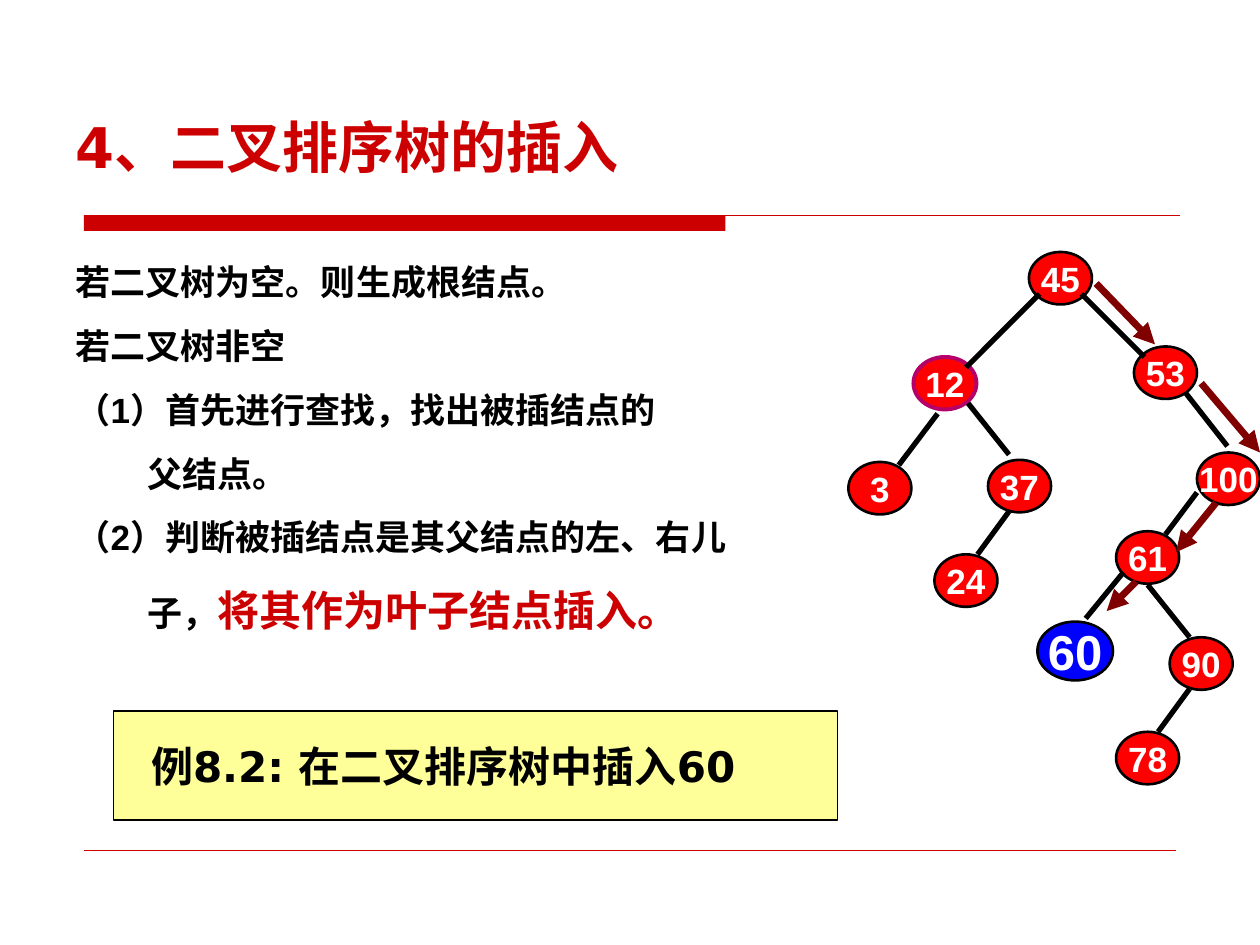
from typing import NamedTuple

from lxml.etree import SubElement as Sub
from pptx import Presentation
from pptx.dml.color import RGBColor
from pptx.enum.shapes import MSO_CONNECTOR as Link, MSO_SHAPE as Kind
from pptx.enum.text import MSO_ANCHOR as Anchor, MSO_AUTO_SIZE as Fit, PP_ALIGN as Align
from pptx.oxml.ns import qn
from pptx.util import Inches, Pt

WIDE, HIGH = Inches(10), Inches(7.5)
COLS, ROWS = 120, 90

BLACK = RGBColor(0x00, 0x00, 0x00)
WHITE = RGBColor(0xFF, 0xFF, 0xFF)
CRIMSON = RGBColor(0xCC, 0x00, 0x00)
RED = RGBColor(0xFF, 0x00, 0x00)
BLUE = RGBColor(0x00, 0x00, 0xFF)
PLUM = RGBColor(0xB5, 0x00, 0x69)
MAROON = RGBColor(0x80, 0x00, 0x00)
YELLOW = RGBColor(0xFF, 0xFF, 0x99)


class Node(NamedTuple):
    key: str
    col: float
    row: float
    width: float = 6
    height: float = 5
    fill: RGBColor = RED
    edge: RGBColor = BLACK
    weight: float = 1.5
    size: float = 20


class Line(NamedTuple):
    col: float
    row: float
    to_col: float
    to_row: float


class Item(NamedTuple):
    runs: tuple
    indent: float = 0.5
    before: float = 12.5


NODES = (
    Node("45", 98, 24),
    Node("53", 108, 33),
    Node("100", 114, 43.1),
    Node("61", 106.3, 50.6),
    Node("12", 87, 34, edge=PLUM, weight=2.25),
    Node("3", 80.8, 44),
    Node("90", 111.4, 60.7),
    Node("78", 106.3, 69.7),
    Node("37", 94.1, 43.8),
    Node("24", 89, 52.8),
    Node("60", 98.8, 59.2, 7.2, 5.6, fill=BLUE, size=28),
)

STEPS = (
    Line(104.4, 27, 110, 32.8),
    Line(114.4, 36.5, 120, 43.1),
    Line(115.8, 47.9, 112, 52.6),
    Line(108.2, 55.4, 105.4, 58.2),
)

EDGES = (
    Line(103, 28, 109, 34),
    Line(112.9, 37.4, 116.9, 42.5),
    Line(114, 46.9, 111, 50.9),
    Line(89.3, 39.4, 85.6, 44.3),
    Line(109.3, 55.7, 113.3, 60.7),
    Line(113.3, 65.6, 110.3, 69.7),
    Line(99, 28, 92, 35),
    Line(92.2, 38.4, 96.1, 43.3),
    Line(96.1, 48.7, 93.1, 52.8),
    Line(107, 54.5, 103.4, 58.9),
)

ITEMS = (
    Item((("若二叉树为空。则生成根结点。", {}),), before=0),
    Item((("若二叉树非空", {}),)),
    Item((("（1）首先进行查找，找出被插结点的", {}),)),
    Item((("父结点。", {}),), indent=1.07),
    Item((("（2）判断被插结点是其父结点的左、右儿", {}),)),
    Item((("子，", {}), ("将其作为叶子结点插入。", {"size": 24, "color": CRIMSON})),
         indent=1.07, before=15),
)


def across(col: float) -> int:
    return round(WIDE * col / COLS)


def down(row: float) -> int:
    return round(HIGH * row / ROWS)


def write(para, text: str, *, size: float = 20, color: RGBColor = BLACK,
          face: str = "Arial") -> None:
    run = para.add_run()
    run.text = text
    font = run.font
    font.name, font.size, font.bold = face, Pt(size), True
    font.color.rgb = color


def inset(para, left: float) -> None:
    props = para._p.get_or_add_pPr()
    props.set("marL", str(Inches(left)))
    props.set("indent", "0")
    Sub(props, qn("a:buNone"))
    para.alignment = Align.LEFT


def place(holder, row: float, width: float, height: float):
    holder.left, holder.top = 0, down(row)
    holder.width, holder.height = across(width), down(height)
    frame = holder.text_frame
    frame.auto_size, frame.vertical_anchor = Fit.NONE, Anchor.TOP
    return frame


def shape(shapes, kind: Kind, col: float, row: float, width: float, height: float,
          fill: RGBColor, edge: RGBColor, weight: float):
    form = shapes.add_shape(kind, across(col), down(row), across(width), down(height))
    form.shadow.inherit = False
    form.fill.solid()
    form.fill.fore_color.rgb = fill
    form.line.color.rgb = edge
    form.line.width = Pt(weight)
    form.text_frame.vertical_anchor = Anchor.MIDDLE
    return form


def draw_node(shapes, node: Node) -> None:
    oval = shape(shapes, Kind.OVAL, node.col, node.row, node.width, node.height,
                 node.fill, node.edge, node.weight)
    frame = oval.text_frame
    frame.word_wrap = False
    para = frame.paragraphs[0]
    para.alignment = Align.CENTER
    write(para, node.key, size=node.size, color=WHITE)


def draw_line(shapes, line: Line, color: RGBColor, weight: float,
              arrow: bool = False) -> None:
    link = shapes.add_connector(Link.STRAIGHT, across(line.col), down(line.row),
                                across(line.to_col), down(line.to_row))
    link.line.color.rgb = color
    link.line.width = Pt(weight)
    if arrow:
        Sub(link.line._get_or_add_ln(), qn("a:tailEnd"), type="triangle")
    Sub(link._element.spPr, qn("a:effectLst"))


def main() -> None:
    deck = Presentation()
    deck.slide_width, deck.slide_height = WIDE, HIGH
    slide = deck.slides.add_slide(deck.slide_layouts[1])
    shapes = slide.shapes

    head = place(shapes.title, 10.1, 71.3, 7.7).paragraphs[0]
    inset(head, 0.5)
    write(head, "4、二叉排序树的插入", size=32, color=CRIMSON, face="DejaVu Sans")

    body = place(slide.placeholders[1], 24.2, 120, 49.1)
    for i, item in enumerate(ITEMS):
        para = body.add_paragraph() if i else body.paragraphs[0]
        inset(para, item.indent)
        para.space_before = Pt(item.before)
        for text, style in item.runs:
            write(para, text, **style)

    bar = shape(shapes, Kind.RECTANGLE, 8, 20.5, 61.1, 1.5, CRIMSON, CRIMSON, 0.75)
    bar.line.fill.background()
    draw_line(shapes, Line(8, 20.5, 112.4, 20.5), CRIMSON, 0.75)
    draw_line(shapes, Line(8, 81, 112, 81), CRIMSON, 0.25)

    for node in NODES:
        draw_node(shapes, node)
    for step in STEPS:
        draw_line(shapes, step, MAROON, 4, arrow=True)
    for edge in EDGES:
        draw_line(shapes, edge, BLACK, 3)

    box = shape(shapes, Kind.RECTANGLE, 10.8, 67.7, 69, 10.4, YELLOW, BLACK, 0.75)
    box.text_frame.word_wrap = True
    note = box.text_frame.paragraphs[0]
    inset(note, 0.2)
    write(note, "例8.2: 在二叉排序树中插入60", size=24, face="DejaVu Sans")

    deck.save("out.pptx")


if __name__ == "__main__":
    main()
